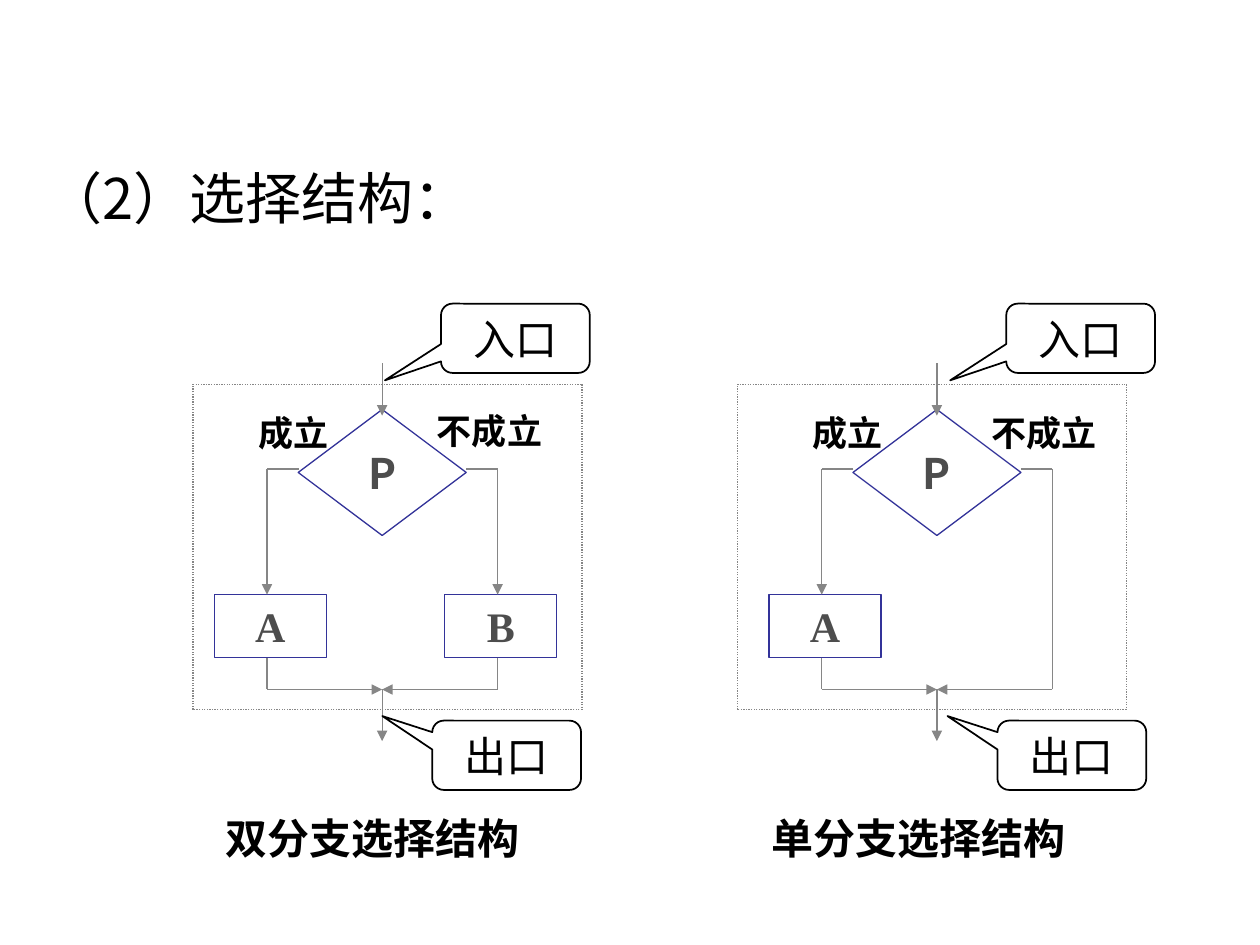
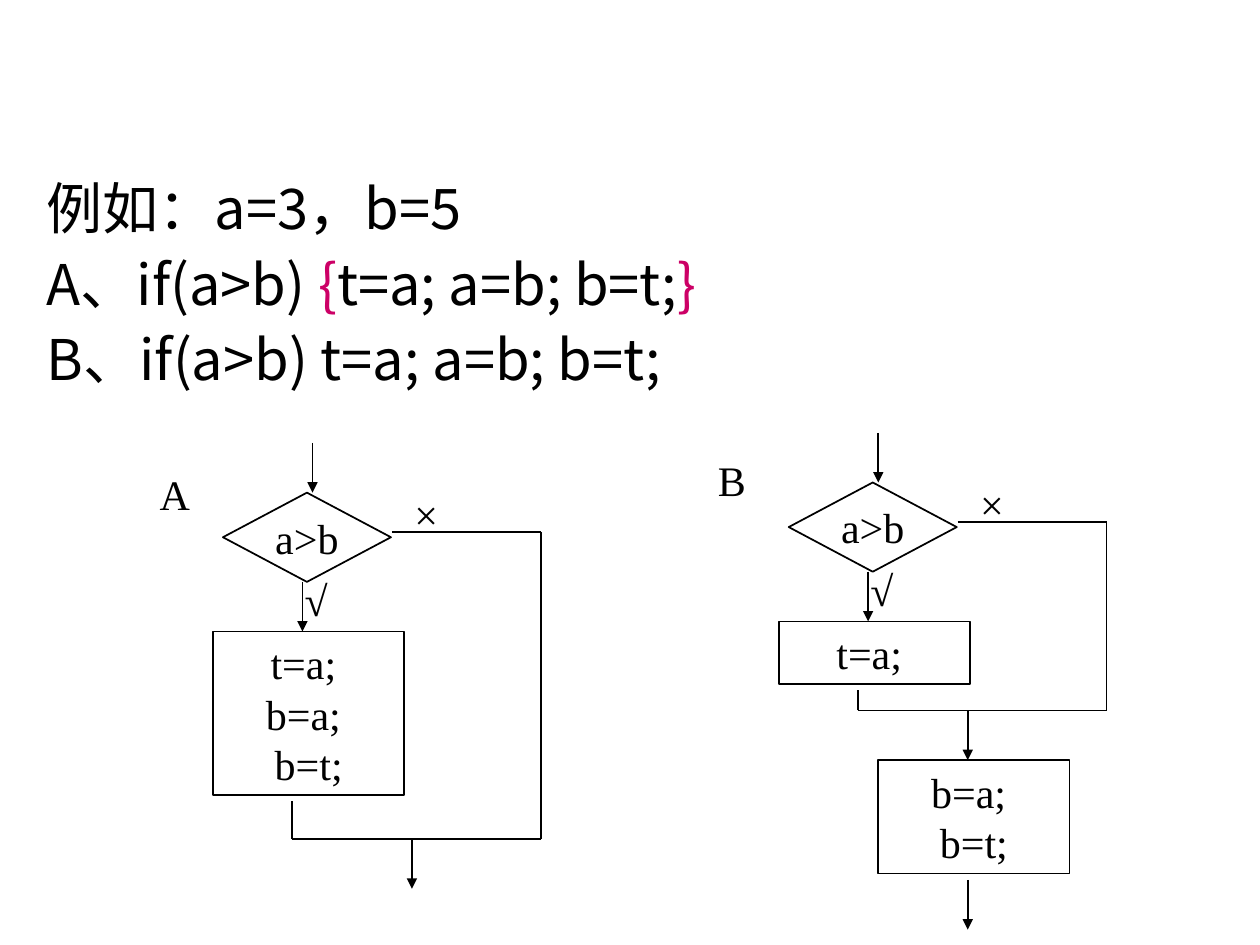
from pptx import Presentation
from pptx.dml.color import RGBColor
from pptx.enum.dml import MSO_LINE
from pptx.enum.shapes import MSO_CONNECTOR, MSO_SHAPE
from pptx.enum.text import MSO_ANCHOR, MSO_AUTO_SIZE, PP_ALIGN
from pptx.oxml.ns import qn
from pptx.util import Pt
from lxml.etree import SubElement

BLACK = RGBColor(0x00, 0x00, 0x00)
PINK = RGBColor(0xCC, 0x00, 0x66)
NAVY = RGBColor(0x33, 0x33, 0x99)
GREY = RGBColor(0x86, 0x86, 0x86)
DARK = RGBColor(0x4D, 0x4D, 0x4D)
SANS, SERIF = "Noto Sans CJK SC", "Times New Roman"

# Body text: each line is a list of (text, colour)
INTRO = [[("（2）选择结构：", BLACK)]]
CODE = [
    [("例如：a=3，b=5", BLACK)],
    [("A、if(a>b) ", BLACK), ("{", PINK), ("t=a; a=b; b=t;", BLACK), ("}", PINK)],
    [("B、if(a>b) t=a; a=b; b=t;", BLACK)],
]

# Branch charts: shifts of flow, frame, callouts and caption
BRANCHES = [
    dict(flow=0, frame=0, call=0, cap=0, no_top=230.4, boxes="AB",
         title="双分支选择结构"),
    dict(flow=317, frame=311, call=323, cap=312, no_top=231.8, boxes="A",
         title="单分支选择结构"),
]
CALLOUTS = [
    ("入口", 252, 173.5, (-0.877, 0.607)),
    ("出口", 247, 411.8, (-0.836, -0.566)),
]

# Swap charts: shift, name place, steps inside the branch and after it
SWAPS = [
    dict(name="A", at=(84.2, 264.2), dx=0, dy=0, high=93.6, join=479.5,
         out=235.4, steps="t=a; \nb=a; \nb=t;", after=""),
    dict(name="B", at=(403.2, 256.3), dx=323.3, dy=-5.8, high=36, join=406,
         out=553, steps="t=a; ", after="b=a; \nb=t;"),
]


def style(run, size, font, color, bold=False):
    run.font.size, run.font.bold, run.font.name = Pt(size), bold, font
    run.font.color.rgb = color
    SubElement(run._r.get_or_add_rPr(), qn("a:ea")).set("typeface", SANS)


def write(frame, text, size, font, color, bold=False, align=PP_ALIGN.LEFT):
    frame.text = text
    for para in frame.paragraphs:
        para.alignment = align
        for run in para.runs:
            style(run, size, font, color, bold)


def label(slide, text, at, size=24, font=SERIF, bold=False):
    box = slide.shapes.add_textbox(*map(Pt, at))
    box.text_frame.word_wrap = True
    write(box.text_frame, text, size, font, BLACK, bold)


def node(slide, kind, text, at, line=BLACK, width=1, font=SERIF,
         color=BLACK, bold=False, anchor=MSO_ANCHOR.TOP, wrap=True):
    shape = slide.shapes.add_shape(kind, *map(Pt, at))
    shape.shadow.inherit = False
    shape.fill.background()
    shape.line.color.rgb, shape.line.width = line, Pt(width)
    frame = shape.text_frame
    frame.word_wrap, frame.vertical_anchor = wrap, anchor
    write(frame, text, 24, font, color, bold, PP_ALIGN.CENTER)
    return shape


def route(slide, points, color=BLACK, width=1, arrow=False, dash=None):
    """Join the points with straight lines; an arrow ends the last one."""
    for start, end in zip(points, points[1:]):
        link = slide.shapes.add_connector(
            MSO_CONNECTOR.STRAIGHT, *map(Pt, start + end))
        link.line.color.rgb, link.line.width = color, Pt(width)
        if dash:
            link.line.dash_style = dash
        if arrow and end == points[-1]:
            tail = SubElement(link.line._get_or_add_ln(), qn("a:tailEnd"))
            tail.set("type", "triangle")
        SubElement(link._element.spPr, qn("a:effectLst"))


def new_slide(prs, lines, top, high):
    slide = prs.slides.add_slide(prs.slide_layouts[1])
    title = slide.shapes.title._element
    title.getparent().remove(title)
    body = slide.placeholders[1]
    body.left, body.top, body.width, body.height = map(Pt, (19.4, top, 669, high))
    frame = body.text_frame
    frame.auto_size = MSO_AUTO_SIZE.NONE
    for i, parts in enumerate(lines):
        para = frame.add_paragraph() if i else frame.paragraphs[0]
        props = para._p.get_or_add_pPr()
        props.set("marL", str(Pt(48)))
        props.set("indent", str(-Pt(48)))
        SubElement(props, qn("a:buNone"))
        para.line_spacing = 0.9
        para.space_before = Pt(8.6 if i else 0)
        for text, color in parts:
            run = para.add_run()
            run.text = text
            style(run, 32, SANS, color)
    return slide


def branch(slide, spec):
    dx = spec["flow"]
    left, mid, right = 152.6 + dx, 218.4 + dx, 284.4 + dx
    arm, top, low, join = 268, 339.8, 375.8, 394

    # Decision and process boxes
    look = dict(line=NAVY, width=0.75, color=DARK, bold=True,
                anchor=MSO_ANCHOR.MIDDLE)
    node(slide, MSO_SHAPE.FLOWCHART_DECISION, "P",
         (170.4 + dx, 234, 96, 72), font=SANS, **look)
    for i, name in enumerate(spec["boxes"]):
        node(slide, MSO_SHAPE.FLOWCHART_PROCESS, name,
             (122.4 + dx + 131.8 * i, top, 64, 36), **look)

    # Flow lines
    thin = dict(color=GREY, width=0.75)
    for side, tip, full in ((left, 170.6 + dx, True),
                            (right, 266.4 + dx, "B" in spec["boxes"])):
        if full:
            route(slide, [(tip, arm), (side, arm), (side, top)], arrow=True, **thin)
            route(slide, [(side, low), (side, join), (mid, join)], arrow=True, **thin)
        else:
            route(slide, [(tip, arm), (side, arm), (side, join), (mid, join)],
                  arrow=True, **thin)
    for start, end in ((207.5, 237.5), (join, 423.5)):
        route(slide, [(mid, start), (mid, end)], arrow=True, **thin)

    # Dotted frame
    x, y, far, foot = 110.3 + spec["frame"], 219.6, 332.6 + spec["frame"], 405.5
    route(slide, [(x, y), (far, y), (far, foot), (x, foot), (x, y)],
          dash=MSO_LINE.ROUND_DOT, **thin)

    # Labels, caption and callouts
    label(slide, "成立", (140.4 + dx, 231.8, 66.2, 31.7), 20, SANS, True)
    label(slide, "不成立", (242.6 + dx, spec["no_top"], 77.8, 31.7), 20, SANS, True)
    label(slide, spec["title"], (121.7 + spec["cap"], 460.8, 193, 36), 24, SANS, True)
    for text, x, y, tip in CALLOUTS:
        call = node(slide, MSO_SHAPE.ROUNDED_RECTANGULAR_CALLOUT, text,
                    (x + spec["call"], y, 85, 39.6))
        call.adjustments[0], call.adjustments[1] = tip


def swap(slide, spec):
    dx, y, join, out = spec["dx"], 281.5 + spec["dy"], spec["join"], spec["out"]
    step = 28.4
    box = y + 79.4
    far, stub = 309 + dx, 167 + dx

    def down(x, top):
        route(slide, [(x, top), (x, top + step)], arrow=True)

    # Test, with its two answers
    down(178.6 + dx, y - step)
    node(slide, MSO_SHAPE.DIAMOND, "a>b", (127.4 + dx, y, 96, 51),
         anchor=MSO_ANCHOR.MIDDLE, wrap=False)
    down(172.8 + dx, y + 51)
    label(slide, "√", (167 + dx, y + 43.2, 27.4, 36))
    label(slide, "×", (229.7 + dx, y - 5.8, 28.1, 36))
    label(slide, spec["name"], spec["at"] + (31.7, 36))

    # Steps and the way around them
    node(slide, MSO_SHAPE.RECTANGLE, spec["steps"],
         (121.7 + dx, box, 109.4, spec["high"]))
    route(slide, [(224 + dx, y + 22.4), (far, y + 22.4), (far, join),
                  (stub, join), (stub, box + spec["high"] + 3)])
    down(out, join)
    if spec["after"]:
        node(slide, MSO_SHAPE.RECTANGLE, spec["after"],
             (out - 51.2, join + step, 109.4, 64.8))
        down(out, join + step + 68.4)


def main():
    prs = Presentation()
    prs.slide_width, prs.slide_height = Pt(720), Pt(540)
    first = new_slide(prs, INTRO, 94.3, 51)
    for spec in BRANCHES:
        branch(first, spec)
    second = new_slide(prs, CODE, 100, 153.4)
    for spec in SWAPS:
        swap(second, spec)
    prs.save("out.pptx")


if __name__ == "__main__":
    main()
